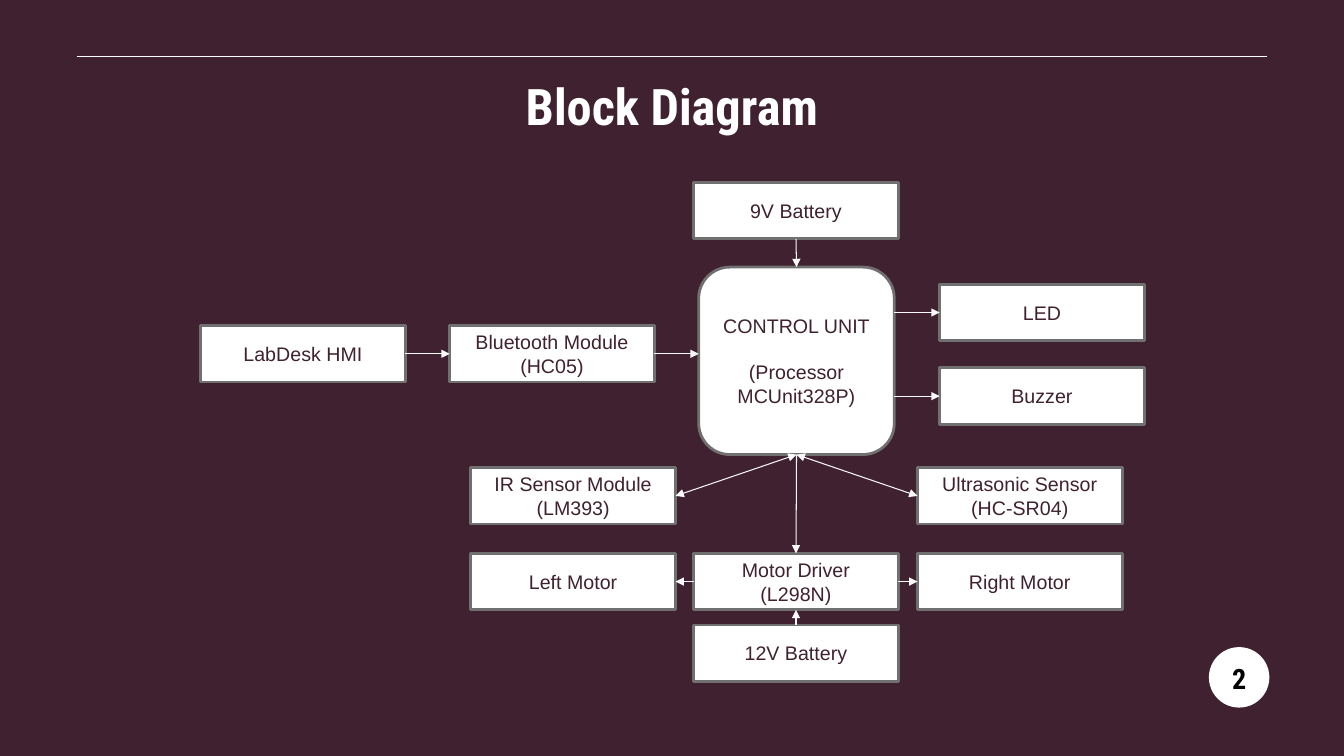
from lxml.etree import SubElement
from pptx import Presentation
from pptx.dml.color import RGBColor
from pptx.enum.shapes import MSO_CONNECTOR, MSO_SHAPE
from pptx.enum.text import MSO_ANCHOR, PP_ALIGN
from pptx.oxml.ns import qn
from pptx.util import Emu, Pt

PX = 9144  # EMU in one px, 100 px to the inch
COLORS = {"back": "3F212F", "white": "FFFFFF", "arrow": "F9F9F9",
          "edge": "707070", "black": "000000"}
TOP, LEFT, BOTTOM, RIGHT = range(4)  # connection sites of a box
WIDE, HIGH = 203, 56

BOXES = {
    "led": (932, 282, ["LED"]),
    "buzzer": (932, 365, ["Buzzer"]),
    "panel": (199, 323, ["LabDesk HMI"]),
    "radio": (446, 323, ["Bluetooth Module", "(HC05)"]),
    "infra": (467, 464, ["IR Sensor Module", "(LM393)"]),
    "sonic": (910, 464, ["Ultrasonic Sensor", "(HC-SR04)"]),
    "left": (467, 549, ["Left Motor"]),
    "driver": (688, 549, ["Motor Driver", "(L298N)"]),
    "right": (910, 549, ["Right Motor"]),
    "nine": (688, 181, ["9V Battery"]),
    "twelve": (688, 620, ["12V Battery"]),
}
# Each end is a box with its site, or a point; the flag asks for two heads.
ARROWS = [
    (("panel", RIGHT), ("radio", LEFT), False),
    (("radio", RIGHT), (693, 351), False),
    ((887, 310), ("led", LEFT), False),
    ((887, 393), ("buzzer", LEFT), False),
    (("nine", BOTTOM), ("board", TOP), False),
    (("board", BOTTOM), ("infra", RIGHT), True),
    (("board", BOTTOM), ("sonic", LEFT), True),
    (("board", BOTTOM), ("driver", TOP), False),
    (("driver", LEFT), ("left", RIGHT), False),
    (("driver", RIGHT), ("right", LEFT), False),
    (("twelve", TOP), ("driver", BOTTOM), False),
]


def write(shape, *lines, size=14, font="Arial", color="back", bold=False,
          anchor=MSO_ANCHOR.MIDDLE, pad=5, gap=0):
    """Fill a shape with centred lines, gap points apart."""
    frame = shape.text_frame
    frame.word_wrap = True
    frame.vertical_anchor = anchor
    frame.margin_left = frame.margin_right = Emu(10 * PX)
    frame.margin_top = frame.margin_bottom = Emu(pad * PX)
    for i, line in enumerate(lines):
        para = frame.add_paragraph() if i else frame.paragraphs[0]
        para.alignment = PP_ALIGN.CENTER
        if i and gap:
            para.space_before = Pt(gap)
        run = para.add_run()
        run.text = line
        run.font.size, run.font.name, run.font.bold = Pt(size), font, bold
        run.font.color.rgb = RGBColor.from_string(COLORS[color])


class Sketch:
    def __init__(self, deck):
        self.slide = deck.slides.add_slide(deck.slide_layouts[6])
        self.shapes = self.slide.shapes
        self.nodes = {}
        fill = self.slide.background.fill
        fill.solid()
        fill.fore_color.rgb = self.tint("back")

    def tint(self, name):
        return RGBColor.from_string(COLORS[name])

    def label(self, x, y, w, h, text, **form):
        box = self.shapes.add_textbox(*(Emu(n * PX) for n in (x, y, w, h)))
        write(box, text, font="Roboto Condensed", bold=True, pad=10, **form)

    def shape(self, kind, x, y, w, h, edge=True):
        item = self.shapes.add_shape(kind, *(Emu(n * PX) for n in (x, y, w, h)))
        item.shadow.inherit = False
        item.fill.solid()
        item.fill.fore_color.rgb = self.tint("white")
        if edge:
            item.line.color.rgb = self.tint("edge")
            item.line.width = Pt(2)
        else:
            item.line.fill.background()
        return item

    def node(self, name, kind, x, y, w, h, lines, **form):
        self.nodes[name] = self.shape(kind, x, y, w, h)
        write(self.nodes[name], *lines, **form)

    def line(self, start, end, color="white"):
        item = self.shapes.add_connector(
            MSO_CONNECTOR.STRAIGHT, *(Emu(n * PX) for n in (*start, *end)))
        item.line.color.rgb = self.tint(color)
        item.line.width = Pt(0.75)
        SubElement(item.line._get_or_add_ln().getparent(), qn("a:effectLst"))
        return item

    def arrow(self, start, end, both):
        points = [(0, 0) if p[0] in self.nodes else p for p in (start, end)]
        item = self.line(*points, color="arrow")
        if start[0] in self.nodes:
            item.begin_connect(self.nodes[start[0]], start[1])
        if end[0] in self.nodes:
            item.end_connect(self.nodes[end[0]], end[1])
        for tag in ("a:headEnd", "a:tailEnd") if both else ("a:tailEnd",):
            SubElement(item.line._get_or_add_ln(), qn(tag), type="triangle")


def main():
    deck = Presentation()
    deck.slide_width, deck.slide_height = Emu(1333 * PX), Emu(750 * PX)
    art = Sketch(deck)
    art.line((76, 56), (1257, 56))
    art.shape(MSO_SHAPE.OVAL, 1199, 642, 60, 60, edge=False)
    art.label(105, 65, 1123, 84, "Block Diagram", size=36, color="white",
              anchor=MSO_ANCHOR.TOP)
    art.label(1207, 646, 44, 54, "2", size=20, color="black")
    art.node("board", MSO_SHAPE.ROUNDED_RECTANGLE, 693, 265, 194, 186,
             ["CONTROL UNIT", "(Processor MCUnit328P)"], gap=16)
    for name, (x, y, lines) in BOXES.items():
        art.node(name, MSO_SHAPE.RECTANGLE, x, y, WIDE, HIGH, lines)
    for start, end, both in ARROWS:
        art.arrow(start, end, both)
    deck.save("out.pptx")


if __name__ == "__main__":
    main()
